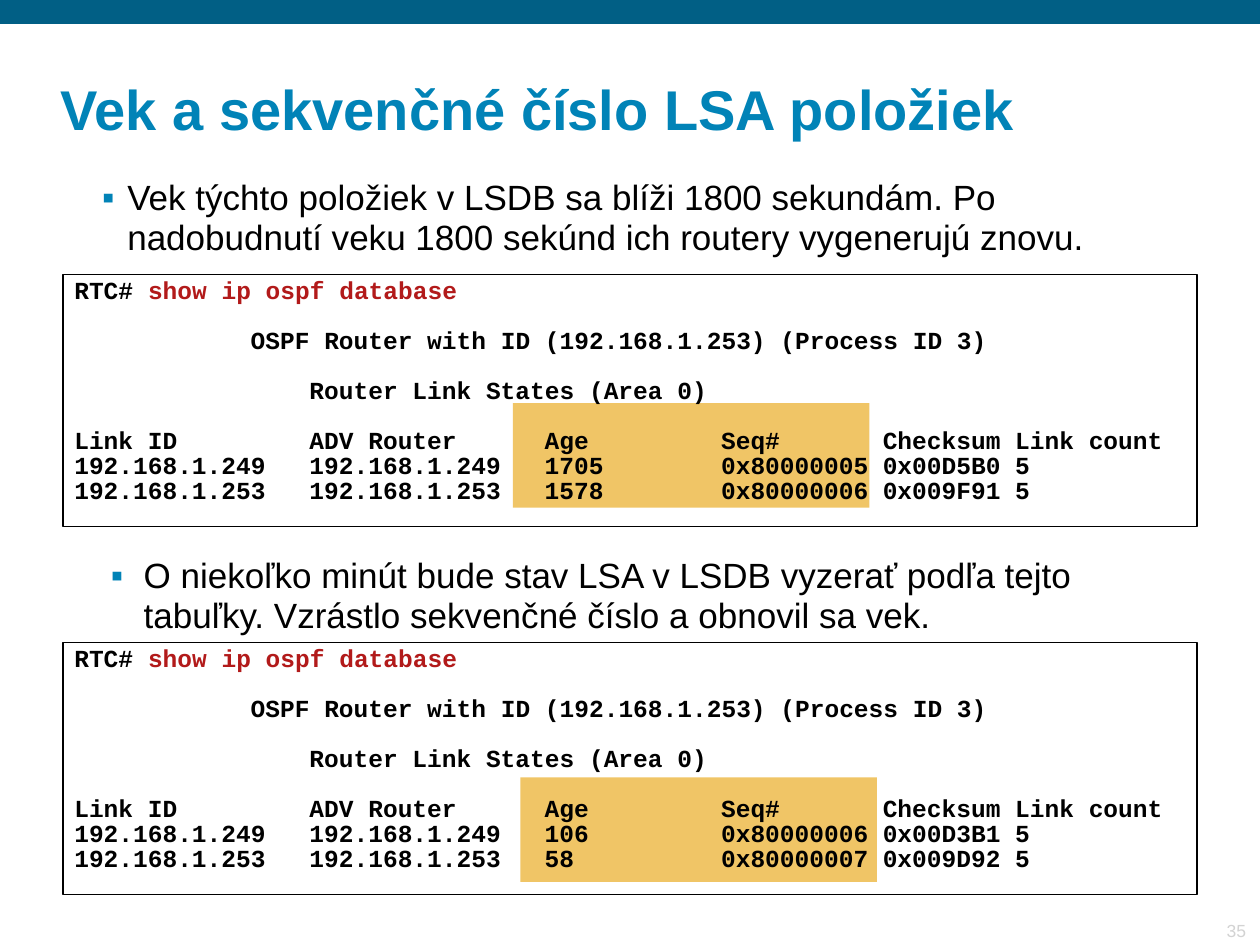
from pptx import Presentation
from pptx.dml.color import RGBColor
from pptx.enum.shapes import MSO_SHAPE
from pptx.enum.text import MSO_ANCHOR, MSO_AUTO_SIZE, PP_ALIGN
from pptx.oxml.ns import qn
from pptx.util import Inches, Pt
from lxml.etree import SubElement

TITLE = "Vek a sekvenčné číslo LSA položiek"
NUMBER = "35"
PROMPT = "RTC# "
COMMAND = "show ip ospf database"
HEADINGS = [
    (12, "OSPF Router with ID (192.168.1.253) (Process ID 3)"),
    (16, "Router Link States (Area 0)"),
]
COLUMNS = ("Link ID", "ADV Router", "Age", "Seq#", "Checksum Link count")
TAB_CHARS = (16, 32, 44, 55)
SECTIONS = [
    {
        "note": "Vek týchto položiek v LSDB sa blíži 1800 sekundám. Po nadobudnutí veku "
                "1800 sekúnd ich routery vygenerujú znovu.",
        "note_box": (0.72, 1.38, 8.68, 1.03),
        "hang": 0.2,
        "top": 2.18,
        "mark": (4.07, 3.2),
        "rows": [
            ("192.168.1.249", "192.168.1.249", "1705", "0x80000005", "0x00D5B0 5"),
            ("192.168.1.253", "192.168.1.253", "1578", "0x80000006", "0x009F91 5"),
        ],
    },
    {
        "note": "O niekoľko minút bude stav LSA v LSDB vyzerať podľa tejto tabuľky. "
                "Vzrástlo sekvenčné číslo a obnovil sa vek.",
        "note_box": (0.79, 4.38, 8.68, 0.87),
        "hang": 0.26,
        "top": 5.1,
        "mark": (4.13, 6.17),
        "rows": [
            ("192.168.1.249", "192.168.1.249", "106", "0x80000006", "0x00D3B1 5"),
            ("192.168.1.253", "192.168.1.253", "58", "0x80000007", "0x009D92 5"),
        ],
    },
]
THEME = {
    "bar": "015F85", "accent": "0183B7", "mark": "F0C566", "line": "000000",
    "title": {"name": "Arial", "size": 32, "bold": True, "color": "0183B7"},
    "note": {"name": "Arial", "size": 20, "bold": False, "color": "000000"},
    "code": {"name": "Courier New", "size": 14, "bold": True, "color": "000000"},
    "command": {"name": "Courier New", "size": 14, "bold": True, "color": "B21A1A"},
    "number": {"name": "Arial", "size": 10, "bold": False, "color": "D3D3D3"},
}
CHAR_W = 0.6 * THEME["code"]["size"] / 72
BLANK_LINE = 14.3


def rgb(value):
    return RGBColor.from_string(value)


def add_run(p, text, style):
    r = p.add_run()
    r.text = text
    values = {**THEME[style], "size": Pt(THEME[style]["size"])}
    r.font.color.rgb = rgb(values.pop("color"))
    for key, value in values.items():
        setattr(r.font, key, value)


def set_frame(tf, anchor=MSO_ANCHOR.TOP, wrap=True):
    values = {
        "margin_left": Inches(0.09), "margin_right": Inches(0.09),
        "margin_top": Inches(0.04), "margin_bottom": Inches(0.04),
        "auto_size": MSO_AUTO_SIZE.NONE, "vertical_anchor": anchor, "word_wrap": wrap,
    }
    for key, value in values.items():
        setattr(tf, key, value)


def set_paragraph(p, spacing=1.0, before=0, align=PP_ALIGN.LEFT):
    values = {"line_spacing": spacing, "space_before": Pt(before),
              "space_after": Pt(0), "alignment": align}
    for key, value in values.items():
        setattr(p, key, value)


def place(sp, box):
    for key, value in zip(("left", "top", "width", "height"), box):
        setattr(sp, key, Inches(value))


def add_rect(s, box, fill=None, line=None):
    sp = s.shapes.add_shape(MSO_SHAPE.RECTANGLE, *map(Inches, box))
    sp.shadow.inherit = False
    if fill:
        sp.fill.solid()
        sp.fill.fore_color.rgb = rgb(fill)
    else:
        sp.fill.background()
    if line:
        sp.line.color.rgb = rgb(line)
        sp.line.width = Pt(0.75)
    else:
        sp.line.fill.background()
    return sp


def fill_note(sp, section):
    place(sp, section["note_box"])
    set_frame(sp.text_frame)
    p = sp.text_frame.paragraphs[0]
    add_run(p, section["note"], "note")
    set_paragraph(p, 0.95, 12.5)
    pPr = p._p.get_or_add_pPr()
    hang = Inches(section["hang"])
    pPr.set("marL", str(hang))
    pPr.set("indent", str(-hang))
    SubElement(SubElement(pPr, qn("a:buClr")), qn("a:srgbClr"), val=THEME["accent"])
    SubElement(pPr, qn("a:buFont"), typeface="Arial")
    SubElement(pPr, qn("a:buChar"), char="▪")


def add_console(s, section):
    add_rect(s, (*section["mark"], 2.83, 0.83), fill=THEME["mark"])
    sp = add_rect(s, (0.5, section["top"], 9, 2), line=THEME["line"])
    tf = sp.text_frame
    set_frame(tf)
    p = tf.paragraphs[0]
    set_paragraph(p, 0.85)
    add_run(p, PROMPT, "code")
    add_run(p, COMMAND, "command")
    for chars, text in HEADINGS:
        p = tf.add_paragraph()
        set_paragraph(p, 0.85, BLANK_LINE)
        p._p.get_or_add_pPr().set("marL", str(Inches(chars * CHAR_W)))
        add_run(p, text, "code")
    for i, row in enumerate([COLUMNS, *section["rows"]]):
        p = tf.add_paragraph()
        set_paragraph(p, 0.85, 0 if i else BLANK_LINE)
        tabs = SubElement(p._p.get_or_add_pPr(), qn("a:tabLst"))
        for chars in TAB_CHARS:
            SubElement(tabs, qn("a:tab"), pos=str(Inches(chars * CHAR_W)), algn="l")
        add_run(p, "\t".join(row), "code")


def main():
    prs = Presentation()
    prs.slide_width, prs.slide_height = Inches(10), Inches(7.5)
    s = prs.slides.add_slide(prs.slide_layouts[3])
    title, *notes = s.placeholders

    add_rect(s, (0, 0, 10, 0.19), fill=THEME["bar"])
    place(title, (0.39, 0.5, 9.21, 0.79))
    set_frame(title.text_frame, MSO_ANCHOR.MIDDLE)
    p = title.text_frame.paragraphs[0]
    set_paragraph(p, 0.9)
    add_run(p, TITLE, "title")

    for sp, section in zip(notes, SECTIONS):
        fill_note(sp, section)
        add_console(s, section)

    sp = s.shapes.add_textbox(*map(Inches, (9.17, 7.25, 0.81, 0.26)))
    set_frame(sp.text_frame, MSO_ANCHOR.BOTTOM)
    p = sp.text_frame.paragraphs[0]
    set_paragraph(p, align=PP_ALIGN.RIGHT)
    add_run(p, NUMBER, "number")

    prs.save("out.pptx")


if __name__ == "__main__":
    main()
